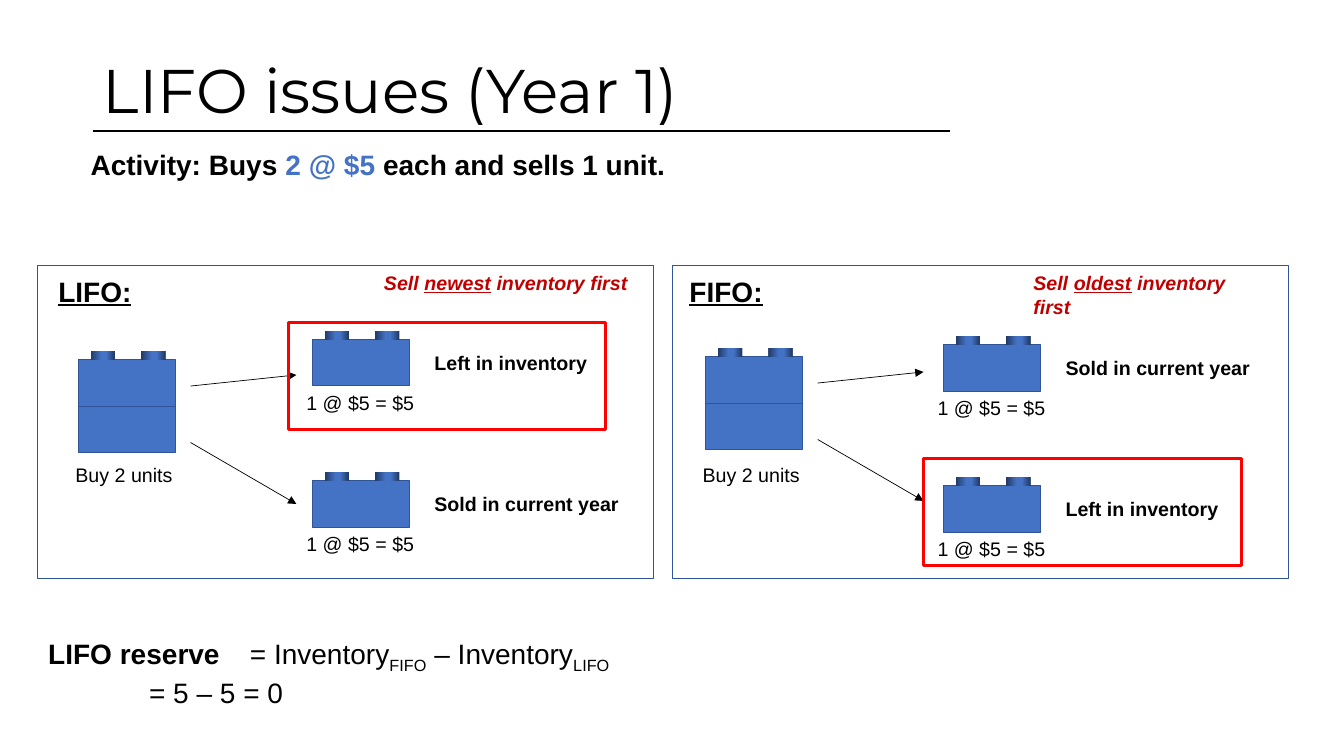
from copy import deepcopy
from dataclasses import dataclass
from typing import Optional

from pptx import Presentation
from pptx.dml.color import RGBColor
from pptx.enum.shapes import MSO_CONNECTOR, MSO_SHAPE
from pptx.enum.text import MSO_ANCHOR, MSO_AUTO_SIZE, PP_ALIGN
from pptx.oxml.ns import qn
from pptx.util import Emu, Pt
from lxml.etree import SubElement

SCALE = 9144
COLORS = {
    "black": "000000",
    "white": "FFFFFF",
    "blue": "4472C4",
    "edge": "2F5597",
    "navy": "203864",
    "note": "C00000",
    "red": "FF0000",
}
STOPS = ((0, "navy"), (0.44, "blue"), (0.65, "blue"), (1, "navy"))
BRICK_W, BRICK_H, STUD_H, STEP = 96, 46, 9, 140


@dataclass(frozen=True)
class Panel:
    name: str
    left: int
    head: int
    stack: tuple[int, int]
    lot: tuple[int, int]
    uses: tuple[str, str]
    note: tuple[int, int]
    order: str
    keep: tuple[int, int]


PANELS = (
    Panel("LIFO:", 37, 48, (78, 348), (310, 328),
          ("Left in inventory", "Sold in current year"),
          (371, 268), "newest", (286, 320)),
    Panel("FIFO:", 667, 674, (700, 345), (936, 333),
          ("Sold in current year", "Left in inventory"),
          (1015, 252), "oldest", (916, 455)),
)


def px(n: int) -> Emu:
    return Emu(n * SCALE)


def tint(name: str) -> RGBColor:
    return RGBColor.from_string(COLORS[name])


def style(run, size=14, font="Arial", color="black", bold=False,
          slant=False, under=False, base=0) -> None:
    face = run.font
    face.size, face.name = Pt(size), font
    face.bold, face.italic, face.underline = bold, slant, under
    face.color.rgb = tint(color)
    if base:
        run._r.get_or_add_rPr().set("baseline", str(base * 1000))


def fill_text(frame, lines, **fmt) -> None:
    for i, line in enumerate(lines):
        para = frame.add_paragraph() if i else frame.paragraphs[0]
        for text, extra in line:
            run = para.add_run()
            run.text = text
            style(run, **{**fmt, **extra})


def write(slide, box, *lines, wrap=False, **fmt) -> None:
    frame = slide.shapes.add_textbox(*map(px, box)).text_frame
    frame.word_wrap = wrap
    frame.auto_size = MSO_AUTO_SIZE.SHAPE_TO_FIT_TEXT
    fill_text(frame, lines, **fmt)


def rect(slide, box, fill: Optional[str], edge: Optional[str], width=0.75):
    shape = slide.shapes.add_shape(MSO_SHAPE.RECTANGLE, *map(px, box))
    shape.shadow.inherit = False
    if fill:
        shape.fill.solid()
        shape.fill.fore_color.rgb = tint(fill)
    else:
        shape.fill.background()
    if edge:
        shape.line.color.rgb = tint(edge)
        shape.line.width = Pt(width)
    else:
        shape.line.fill.background()
    return shape


def line(slide, start, end, width=0.5, head=True) -> None:
    link = slide.shapes.add_connector(
        MSO_CONNECTOR.STRAIGHT, *map(px, (*start, *end)))
    link.line.color.rgb = tint("black")
    link.line.width = Pt(width)
    props = link._element.spPr
    if head:
        SubElement(props.find(qn("a:ln")), qn("a:tailEnd"), type="triangle")
    SubElement(props, qn("a:effectLst"))


def stud(slide, x: int, y: int) -> None:
    shape = rect(slide, (x, y, 24, STUD_H), None, None)
    shape.fill.gradient()
    shape.fill.gradient_angle = 0
    group = shape._element.spPr.find(".//" + qn("a:gsLst"))
    while len(group) < len(STOPS):
        group.append(deepcopy(group[0]))
    for stop, (pos, color) in zip(shape.fill.gradient_stops, STOPS):
        stop.position = pos
        stop.color.rgb = tint(color)


def brick(slide, x: int, y: int, rows=1) -> None:
    for row in range(rows):
        rect(slide, (x, y + STUD_H + row * BRICK_H, BRICK_W, BRICK_H),
             "blue", "edge")
    for dx in (12, 62):
        stud(slide, x + dx, y)


def draw_panel(slide, panel: Panel) -> None:
    rect(slide, (panel.left, 263, 611, 311), "white", "edge")
    write(slide, (panel.head, 267, 93, 44), [(panel.name, {})],
          size=20, bold=True, under=True)
    left, width = panel.note
    write(slide, (left, 264, width, 34),
          [("Sell ", {}), (panel.order, {"under": True}),
           (" inventory first", {})],
          wrap=True, color="note", bold=True, slant=True)
    x, y = panel.stack
    brick(slide, x, y, rows=2)
    write(slide, (x - 13, 454, 117, 34), [("Buy 2 units", {})])
    for rise, drop in ((35, 24), (91, 152)):
        line(slide, (x + 111, y + rise), (x + 216, y + drop))
    x, y = panel.lot
    for i, use in enumerate(panel.uses):
        top = y + i * STEP
        brick(slide, x, top)
        write(slide, (x - 16, top + 55, 128, 34), [("1 @ $5 = $5", {})])
        width = 172 if use.startswith("Left") else 204
        write(slide, (x + 111, top + 15, width, 34), [(use, {})], bold=True)
    rect(slide, (*panel.keep, 315, 106), None, "red", 2.25)


def draw_title(slide) -> None:
    title = slide.shapes.title
    title.left, title.top, title.width, title.height = map(
        px, (92, 20, 1150, 145))
    frame = title.text_frame
    frame.auto_size = MSO_AUTO_SIZE.NONE
    frame.vertical_anchor = MSO_ANCHOR.MIDDLE
    para = frame.paragraphs[0]
    para.alignment = PP_ALIGN.LEFT
    para.line_spacing = 0.9
    fill_text(frame, [[("LIFO issues (Year 1)", {})]],
              size=44, font="Montserrat")
    line(slide, (92, 130), (942, 130), width=1, head=False)


def main() -> None:
    deck = Presentation()
    deck.slide_width, deck.slide_height = px(1333), px(750)
    slide = deck.slides.add_slide(deck.slide_layouts[5])
    draw_title(slide)
    write(slide, (80, 141, 594, 44),
          [("Activity: Buys ", {}), ("2 @ $5 ", {"color": "blue"}),
           ("each and sells 1 unit.", {})], size=20, bold=True)
    for panel in PANELS:
        draw_panel(slide, panel)
    write(slide, (38, 627, 592, 77),
          [("LIFO reserve \t", {"bold": True}), ("= Inventory", {}),
           ("FIFO", {"base": -25}), (" – Inventory", {}),
           ("LIFO", {"base": -25})],
          [("\t\t= 5 – 5 = 0", {})], size=20)
    deck.save("out.pptx")


if __name__ == "__main__":
    main()
